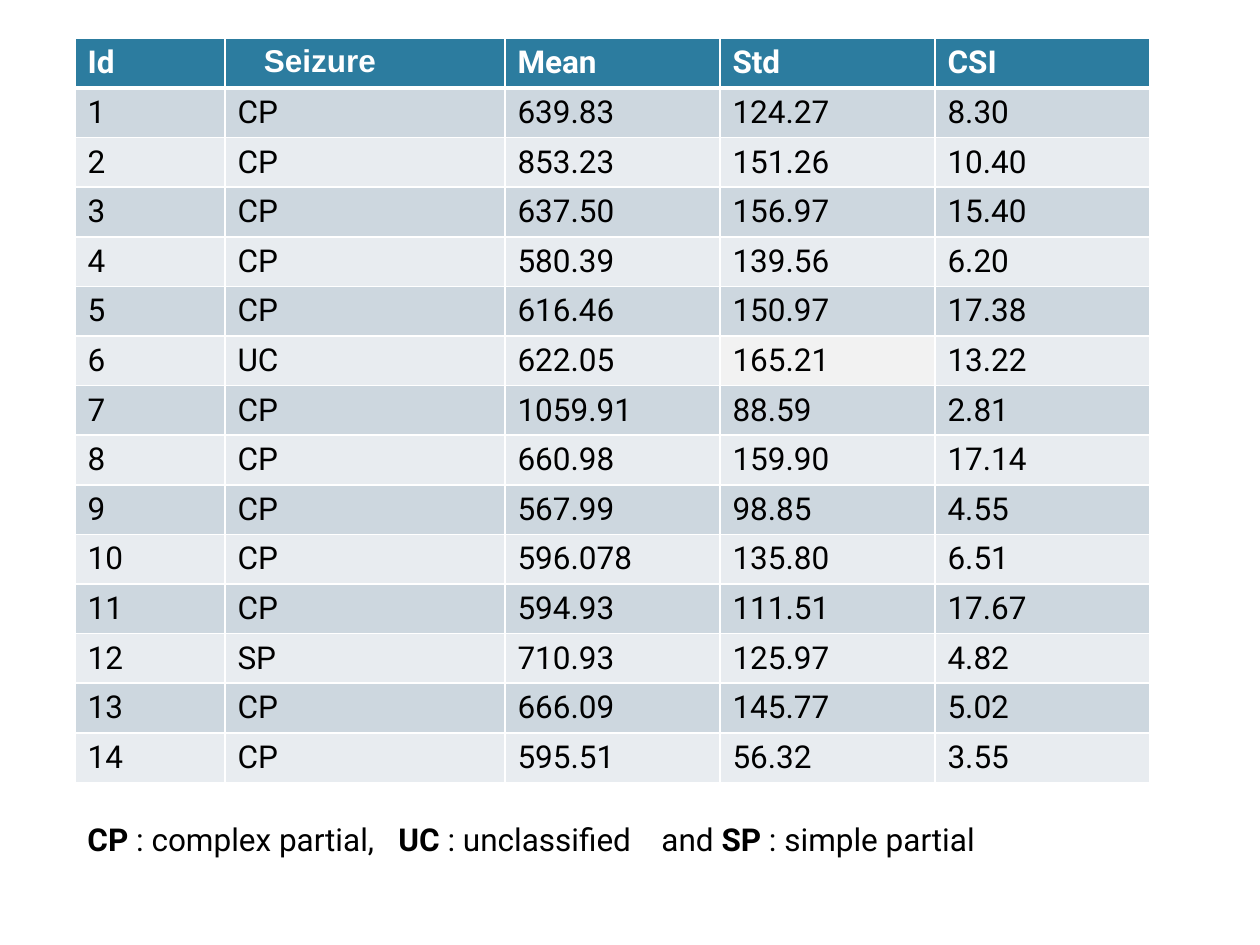
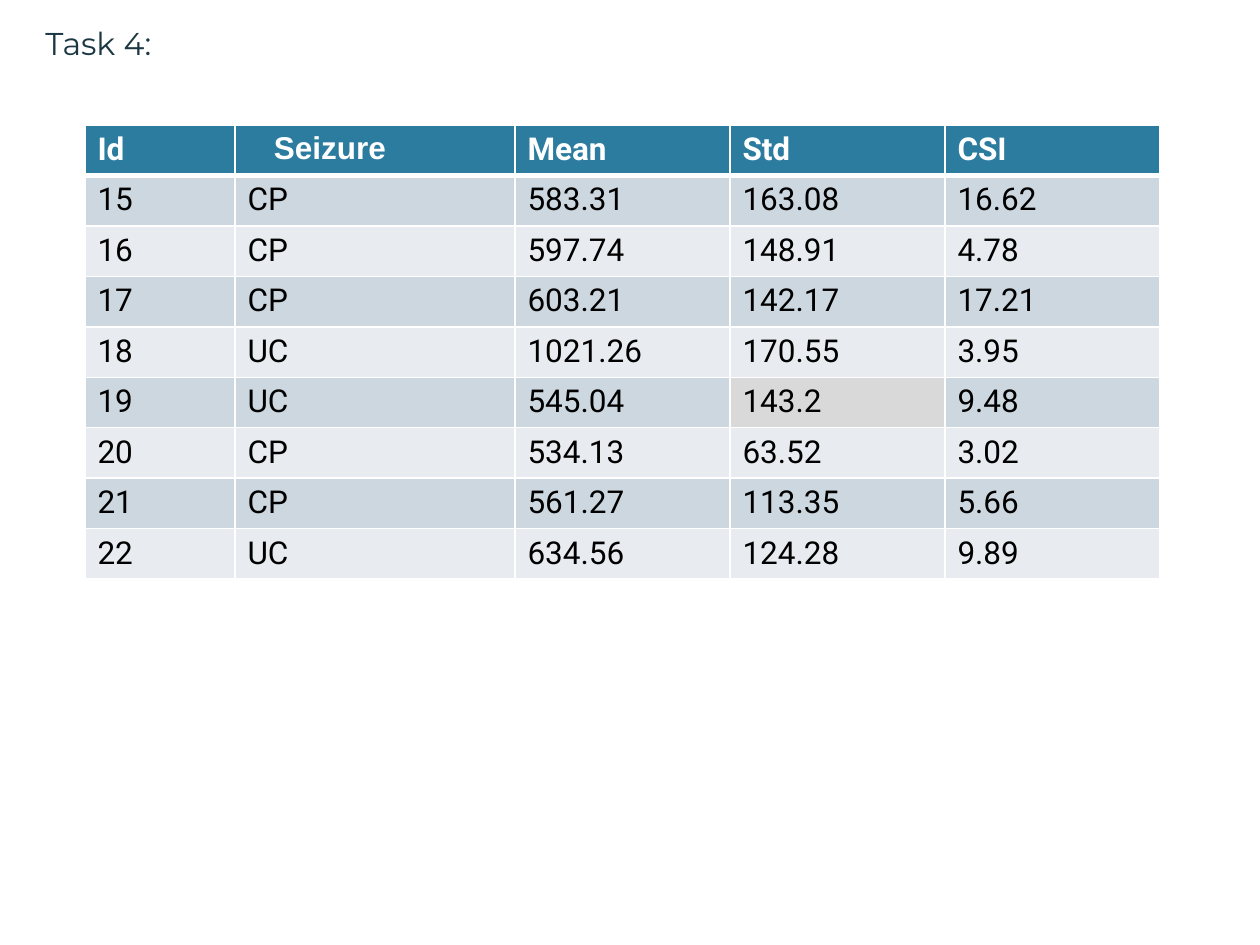
from lxml import etree
from pptx import Presentation
from pptx.dml.color import RGBColor
from pptx.enum.text import MSO_AUTO_SIZE
from pptx.oxml.ns import qn
from pptx.util import Pt

GROW = MSO_AUTO_SIZE.SHAPE_TO_FIT_TEXT
SCALE = 914400 / 126
WHITE, BLACK, TEAL, SLATE = "FFFFFF", "000000", "2C7C9F", "1B3842"
BANDS = ["CDD7DF", "E8ECF0"]

BODY = {"name": "Roboto", "size": Pt(18), "bold": False}
BOLD = {**BODY, "bold": True}
TITLE = {"name": "Montserrat", "size": Pt(18)}

HEADS = ["Id", "Seizure", "Mean", "Std", "CSI"]
COLS = [150, 280, 215, 215, 215]
ROW = 48
INDENT = 39

FIRST = [
    "CP 639.83 124.27 8.30", "CP 853.23 151.26 10.40",
    "CP 637.50 156.97 15.40", "CP 580.39 139.56 6.20",
    "CP 616.46 150.97 17.38", "UC 622.05 165.21 13.22",
    "CP 1059.91 88.59 2.81", "CP 660.98 159.90 17.14",
    "CP 567.99 98.85 4.55", "CP 596.078 135.80 6.51",
    "CP 594.93 111.51 17.67", "SP 710.93 125.97 4.82",
    "CP 666.09 145.77 5.02", "CP 595.51 56.32 3.55",
]
SECOND = [
    "CP 583.31 163.08 16.62", "CP 597.74 148.91 4.78",
    "CP 603.21 142.17 17.21", "UC 1021.26 170.55 3.95",
    "UC 545.04 143.2 9.48", "CP 534.13 63.52 3.02",
    "CP 561.27 113.35 5.66", "UC 634.56 124.28 9.89",
]
LEGEND = [
    ("CP", BOLD), (" : complex partial,\t", BODY),
    ("UC", BOLD), (" : unclassified\tand ", BODY),
    ("SP", BOLD), (" : simple partial", BODY),
]


def px(num):
    return round(num * SCALE)


def tint(code):
    return RGBColor.from_string(code)


def write(para, text, form, color):
    run = para.add_run()
    run.text = text
    for key, val in form.items():
        setattr(run.font, key, val)
    run.font.color.rgb = tint(color)


def edge(cell, top, base):
    """Draw white borders on all four sides, widths in points."""
    props = cell._tc.get_or_add_tcPr()
    for side, width in zip("LRTB", (1, 1, top, base)):
        line = etree.SubElement(props, qn("a:ln" + side), w=str(Pt(width)))
        fill = etree.SubElement(line, qn("a:solidFill"))
        etree.SubElement(fill, qn("a:srgbClr"), val=WHITE)


def paint(cell, text, form, color, fill, top=1, base=1):
    edge(cell, top, base)
    cell.fill.solid()
    cell.fill.fore_color.rgb = tint(fill)
    write(cell.text_frame.paragraphs[0], text, form, color)


def grid(slide, left, top, data, start, marks, head=ROW):
    """Build a table of seizures; marks maps (id, column) to a fill."""
    high = head + ROW * len(data)
    table = slide.shapes.add_table(
        len(data) + 1, len(COLS), px(left), px(top), px(sum(COLS)), px(high)
    ).table
    table.horz_banding = False
    for col, width in zip(table.columns, COLS):
        col.width = px(width)
    for row in table.rows:
        row.height = px(ROW)
    table.rows[0].height = px(head)

    # Header row
    for col, text in enumerate(HEADS):
        face = "Arial" if text == "Seizure" else "Roboto"
        paint(table.cell(0, col), text, {**BOLD, "name": face}, WHITE, TEAL, base=3)
    table.cell(0, 1).margin_left = px(INDENT)

    # Banded rows, numbered in order
    for row, line in enumerate(data):
        num = start + row
        for col, text in enumerate([str(num), *line.split()]):
            fill = marks.get((num, HEADS[col]), BANDS[row % 2])
            paint(table.cell(row + 1, col), text, BODY, BLACK, fill,
                  top=1 if row else 3)


def label(slide, left, top, width, parts, color, stops=()):
    """Add a line of text; stops are tab positions from its left inset."""
    box = slide.shapes.add_textbox(px(left), px(top), px(width), px(50))
    frame = box.text_frame
    frame.word_wrap = True
    frame.auto_size = GROW
    para = frame.paragraphs[0]
    if stops:
        tabs = etree.SubElement(para._p.get_or_add_pPr(), qn("a:tabLst"))
        for stop in stops:
            etree.SubElement(tabs, qn("a:tab"), pos=str(px(stop)), algn="l")
    for text, form in parts:
        write(para, text, form, color)


def main():
    prs = Presentation()
    prs.slide_width, prs.slide_height = px(1260), px(945)
    blank = prs.slide_layouts[6]

    # Patients 1 to 14, with the legend
    slide = prs.slides.add_slide(blank)
    grid(slide, 75, 38, FIRST, 1, {(6, "Std"): "F2F2F2"}, head=50)
    label(slide, 75, 814, sum(COLS), LEGEND, BLACK, stops=(311, 574))

    # Patients 15 to 22, with the title
    slide = prs.slides.add_slide(blank)
    grid(slide, 85, 125, SECOND, 15, {(19, "Std"): "D9D9D9"})
    label(slide, 33, 18, 204, [("Task 4:", TITLE)], SLATE)

    prs.save("out.pptx")


if __name__ == "__main__":
    main()
